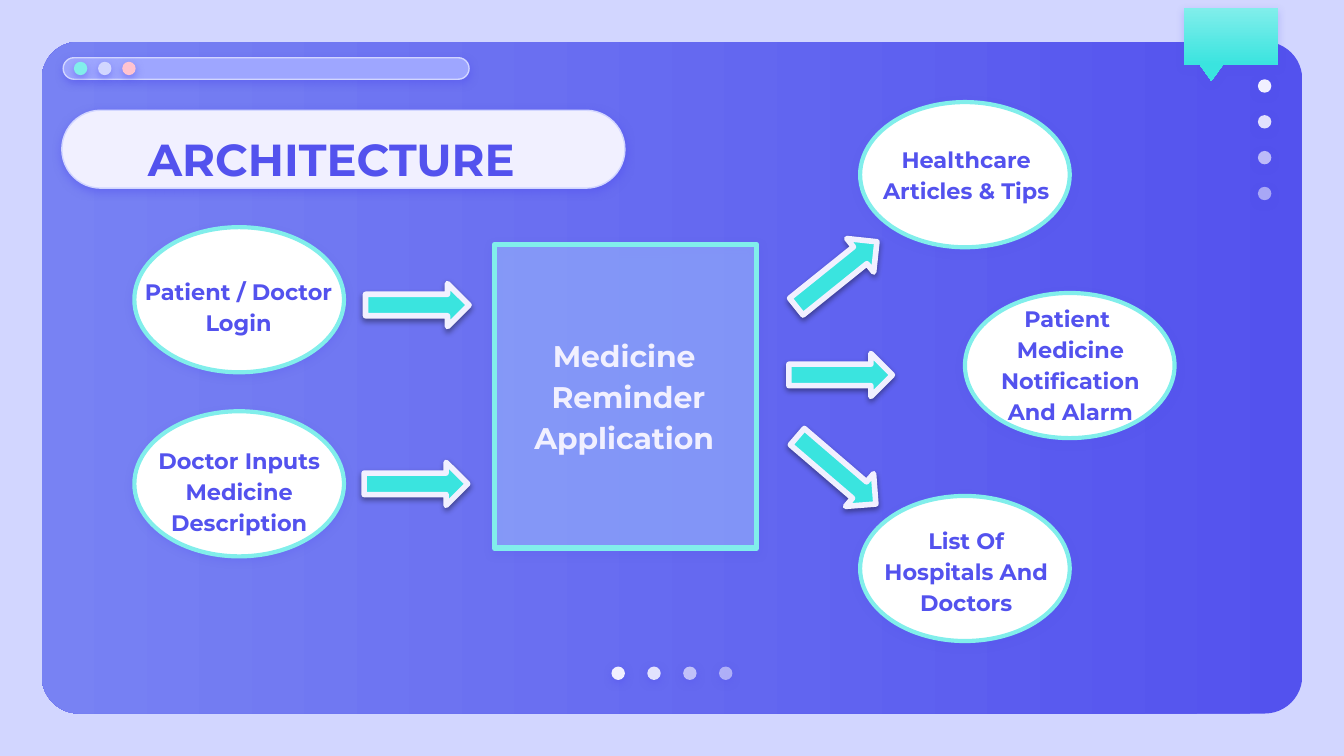
from lxml import etree
from pptx import Presentation
from pptx.dml.color import RGBColor
from pptx.enum.shapes import MSO_SHAPE
from pptx.enum.text import MSO_ANCHOR, MSO_AUTO_SIZE, PP_ALIGN
from pptx.oxml.ns import qn
from pptx.util import Inches, Pt

RECT, ROUND, OVAL = MSO_SHAPE.RECTANGLE, MSO_SHAPE.ROUNDED_RECTANGLE, MSO_SHAPE.OVAL
ARROW, CALLOUT = MSO_SHAPE.RIGHT_ARROW, MSO_SHAPE.ROUNDED_RECTANGULAR_CALLOUT
TOP, NO_FIT = MSO_ANCHOR.TOP, MSO_AUTO_SIZE.NONE
LEFT, CENTER = PP_ALIGN.LEFT, PP_ALIGN.CENTER

INDIGO, LAVENDER, PALE = "5352EE", "D2D6FF", "F1F0FF"
AQUA, TEAL, PINK = "81EEEB", "3AE4DF", "FFC3D0"
SOFT, FAINT, FAINTER = (INDIGO, 50, 4.5, 1.5), (INDIGO, 24, 4.5, 1.5), (INDIGO, 22, 4.5, 1.5)
DARK = ("000000", 38, 3.1, 1.6)

rgb = RGBColor.from_string


def add_shape(kind, box, fill, line=None, shadow=None, adj=(), alpha=100, angle=0):
    """Add a shape; fill is one colour or a pair of gradient stops,
    line is (colour, points), shadow is (colour, opacity, blur, distance)."""
    sp = s.shapes.add_shape(kind, *map(Inches, box))
    for i, value in enumerate(adj):
        sp.adjustments[i] = value
    if isinstance(fill, tuple):
        sp.fill.gradient()
        sp.fill.gradient_angle = angle
        for stop, color in zip(sp.fill.gradient_stops, fill):
            stop.color.rgb = rgb(color)
    else:
        sp.fill.solid()
        sp.fill.fore_color.rgb = rgb(fill)
    props = sp._element.spPr
    if alpha < 100:
        color = props.find(qn("a:solidFill"))[0]
        etree.SubElement(color, qn("a:alpha"), val=str(alpha * 1000))
    if line:
        sp.line.color.rgb = rgb(line[0])
        sp.line.width = Pt(line[1])
    else:
        sp.line.fill.background()
    sp.shadow.inherit = False
    if shadow:
        color, opacity, blur, dist = shadow
        outer = etree.SubElement(
            props.find(qn("a:effectLst")), qn("a:outerShdw"),
            blurRad=str(Pt(blur)), dist=str(Pt(dist)), dir="5400000",
            algn="bl", rotWithShape="0")
        clr = etree.SubElement(outer, qn("a:srgbClr"), val=color)
        etree.SubElement(clr, qn("a:alpha"), val=str(opacity * 1000))
    return sp


def set_text(sp, box, lines, size, color, align=CENTER):
    sp.left, sp.top, sp.width, sp.height = map(Inches, box)
    tf = sp.text_frame
    frame = {"word_wrap": True, "auto_size": NO_FIT, "vertical_anchor": TOP}
    for side in ("left", "top", "right", "bottom"):
        frame["margin_" + side] = Inches(0.1)
    for name, value in frame.items():
        setattr(tf, name, value)
    for i, line in enumerate(lines):
        p = tf.add_paragraph() if i else tf.paragraphs[0]
        p.alignment, p.line_spacing = align, 1.15
        r = p.add_run()
        r.text = line
        for name, value in {"name": "Montserrat", "size": Pt(size), "bold": True}.items():
            setattr(r.font, name, value)
        r.font.color.rgb = rgb(color)


prs = Presentation()
prs.slide_width = Inches(10)
prs.slide_height = Inches(10) * 9 // 16
s = prs.slides.add_slide(prs.slide_layouts[5])
s.background.fill.solid()
s.background.fill.fore_color.rgb = rgb(LAVENDER)

# Window frame, address bar and dots
add_shape(ROUND, (0.31, 0.31, 9.38, 5), (INDIGO, "7882F3"), adj=[0.056], angle=180)
add_shape(ROUND, (0.47, 0.43, 3.02, 0.16), "9EA6FF", (LAVENDER, 0.75), SOFT, [0.5])
for i, alpha in enumerate((100, 90, 67, 54)):
    step = i * 0.8 / 3
    for x, y in ((9.36, 0.59 + step), (4.55 + step, 4.96)):
        add_shape(OVAL, (x, y, 0.1, 0.1), PALE, shadow=SOFT, alpha=alpha)
for i, color in enumerate((AQUA, LAVENDER, PINK)):
    add_shape(OVAL, (0.55 + i * 0.18, 0.46, 0.1, 0.1), color, shadow=SOFT)

# Title on its pill
pill = add_shape(ROUND, (0.46, 0.82, 4.19, 0.58), PALE, (LAVENDER, 0.75), SOFT, [0.5])
title = s.shapes.title
set_text(title, (1, 0.82, 4.21, 0.58), ["ARCHITECTURE"], 24, INDIGO, LEFT)
pill._element.addnext(title._element)

add_shape(CALLOUT, (8.81, 0.06, 0.7, 0.42), (AQUA, TEAL), shadow=FAINT,
          adj=[-0.209, 0.79, 0], angle=270)

# Application box and the ovals around it
add_shape(RECT, (3.68, 1.82, 1.95, 2.26), "A1C3FF", (AQUA, 3), FAINTER, alpha=51)
for x, y in ((6.4, 0.76), (7.18, 2.18), (6.4, 3.69), (1, 1.69), (1, 3.06)):
    add_shape(OVAL, (x, y, 1.56, 1.08), "FFFFFF", (AQUA, 2.25), FAINTER)

labels = [
    ((6.41, 0.96, 1.56, 0.64), ["Healthcare Articles & Tips"], 12, INDIGO),
    ((6.9, 2.14, 2.13, 0.58),
     ["Patient ", "Medicine", " Notification ", "And Alarm"], 12, INDIGO),
    ((6.41, 3.79, 1.56, 0.58), ["List Of Hospitals And Doctors"], 12, INDIGO),
    ((3.58, 2.37, 2.13, 0.58), ["Medicine", " Reminder Application"], 16, PALE),
    ((0.73, 1.94, 2.09, 0.58), ["Patient / Doctor Login"], 12, INDIGO),
    ((0.94, 3.2, 1.68, 0.58), ["Doctor Inputs Medicine Description"], 12, INDIGO),
]
for box, lines, size, color in labels:
    label = s.shapes.add_textbox(*map(Inches, box))
    set_text(label, box, lines, size, color)

# Flow arrows
for x, y, turn in ((2.72, 2.11, 0), (2.71, 3.44, 0), (5.87, 2.63, 0),
                   (5.84, 3.34, 40.6), (5.84, 1.88, 321.2)):
    arrow = add_shape(ARROW, (x, y, 0.77, 0.32), TEAL, (PALE, 3), DARK)
    arrow.rotation = turn

prs.save("out.pptx")
